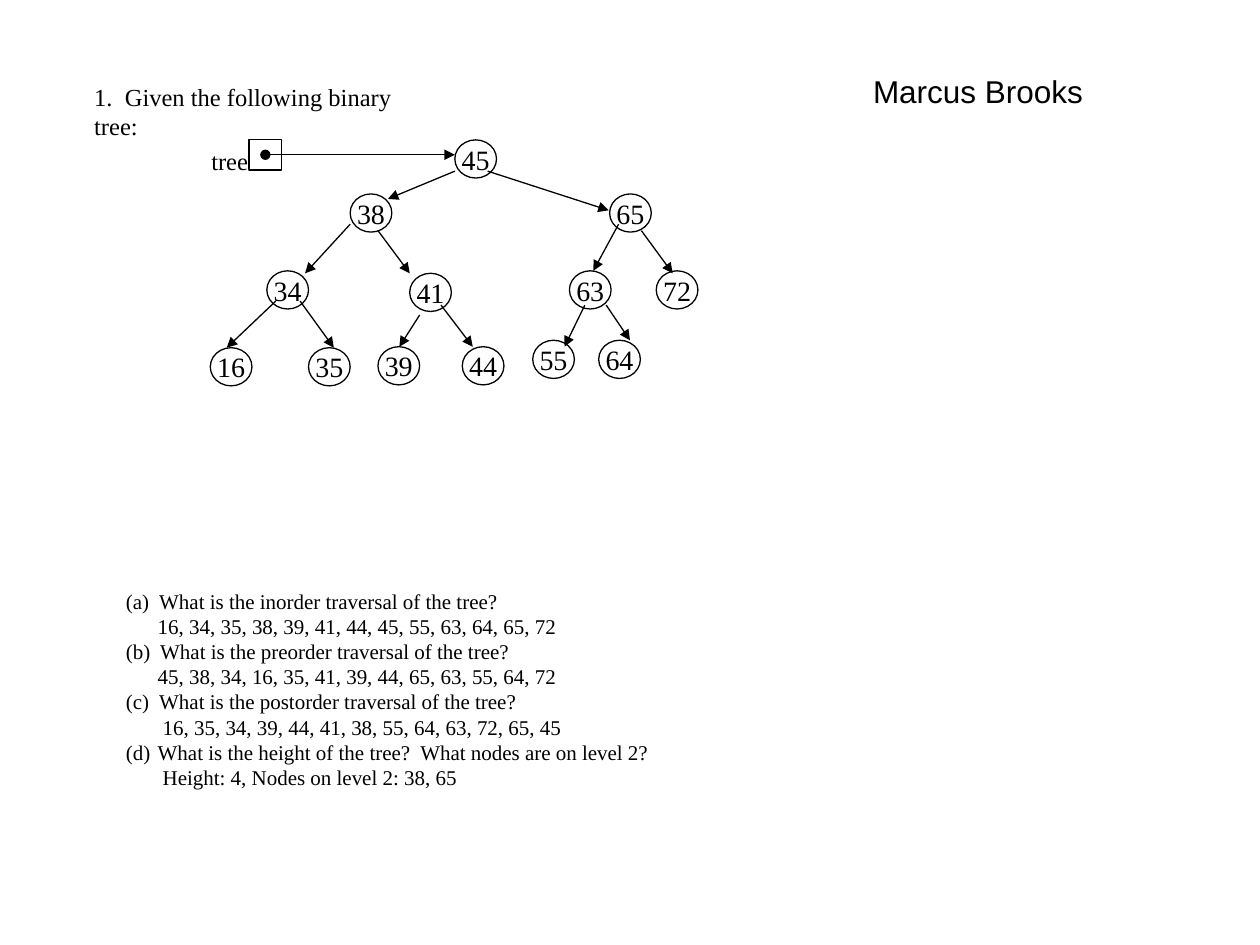
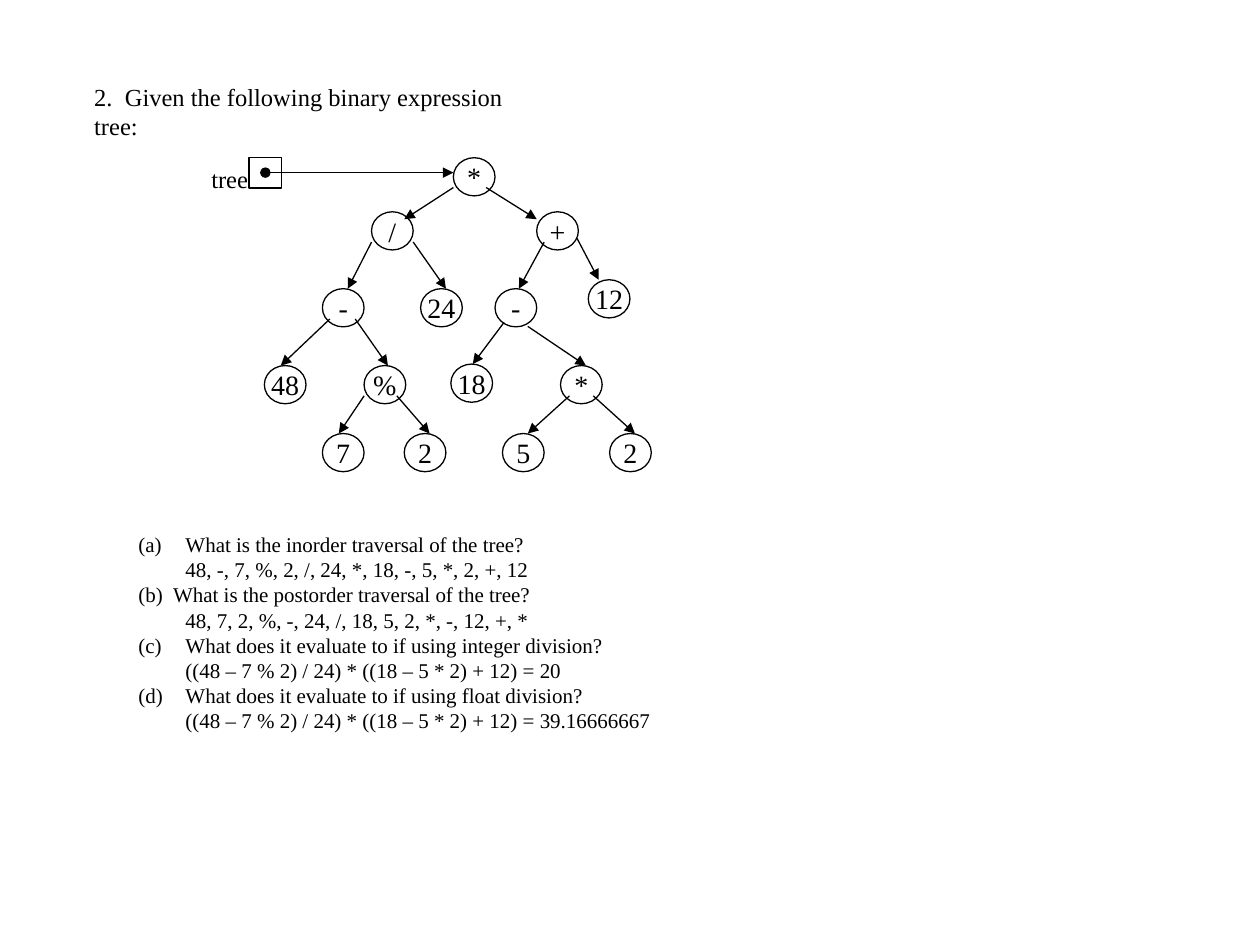
import pptx
import pptx.dml.color
import pptx.enum.shapes
import pptx.enum.text
import pptx.oxml.ns
import pptx.util
from dataclasses import dataclass
from lxml import etree

Cm = pptx.util.Cm
Pt = pptx.util.Pt
qn = pptx.oxml.ns.qn
SHAPES = pptx.enum.shapes.MSO_SHAPE


@dataclass(frozen=True)
class Theme:
    """Colours, fonts, type sizes and line width shared by both slides."""
    ink: object = pptx.dml.color.RGBColor(0, 0, 0)
    serif: str = "Times New Roman"
    sans: str = "Arial"
    title: int = 14
    answer: int = 12
    node: int = 16
    author: int = 18
    stroke: float = 0.75


theme = Theme()


def write(paragraph, text, size, font=theme.serif):
    """Add a run of text in the theme's ink to a paragraph."""
    run = paragraph.add_run()
    run.text = text
    for attribute, value in {"size": Pt(size), "name": font}.items():
        setattr(run.font, attribute, value)
    run.font.color.rgb = theme.ink


def outline(shapes, kind, left, top, width, height):
    """Add an unfilled shape with a thin outline."""
    shape = shapes.add_shape(kind, Cm(left), Cm(top), Cm(width), Cm(height))
    shape.shadow.inherit = False
    shape.fill.background()
    shape.line.color.rgb = theme.ink
    shape.line.width = Pt(theme.stroke)
    return shape


# Tree nodes: label, left, top, arrow start, arrow end (cm); the root comes first.
# Questions: text, indent, answer, answer indent (cm).
exercises = [
    {
        "title": "1.  Given the following binary tree:",
        "title_width": 7.49,
        "author": "Marcus Brooks",
        "nodes": [
            ("45", 9.17, 2.82, (5.35, 3.12), (9.17, 3.12)),
            ("38", 7.06, 3.91, (9.17, 3.45), (7.82, 4.01)),
            ("65", 12.29, 3.91, (9.83, 3.45), (12.27, 4.24)),
            ("34", 5.38, 5.46, (7.06, 4.52), (6.15, 5.51)),
            ("41", 8.26, 5.51, (7.62, 4.65), (8.26, 5.51)),
            ("63", 11.48, 5.46, (12.47, 4.52), (11.96, 5.46)),
            ("72", 13.23, 5.46, (12.93, 4.65), (13.56, 5.51)),
            ("16", 4.24, 7.01, (5.56, 6.07), (4.57, 7.01)),
            ("35", 6.22, 7.01, (6.05, 6.07), (6.73, 7.01)),
            ("39", 7.62, 6.99, (8.46, 6.35), (8.05, 6.99)),
            ("44", 9.32, 6.99, (8.89, 6.15), (9.53, 6.99)),
            ("55", 10.74, 6.86, (11.79, 6.15), (11.38, 6.99)),
            ("64", 12.07, 6.86, (12.22, 6.15), (12.7, 6.86)),
        ],
        "questions_at": (2.29, 11.73, 11.3, 4.37),
        "questions": [
            ("What is the inorder traversal of the tree?", 0.67,
             "16, 34, 35, 38, 39, 41, 44, 45, 55, 63, 64, 65, 72", 0.64),
            ("What is the preorder traversal of the tree?", 0.69,
             "45, 38, 34, 16, 35, 41, 39, 44, 65, 63, 55, 64, 72", 0.64),
            ("What is the postorder traversal of the tree?", 0.67,
             "16, 35, 34, 39, 44, 41, 38, 55, 64, 63, 72, 65, 45", 0.74),
            ("What is the height of the tree?  What nodes are on level 2?", 0.64,
             "Height: 4, Nodes on level 2: 38, 65", 0.74),
        ],
    },
    {
        "title": "2.  Given the following binary expression tree:",
        "title_width": 9.73,
        "author": None,
        "nodes": [
            ("*", 9.14, 3.18, (5.35, 3.48), (9.14, 3.48)),
            ("/", 7.49, 4.27, (9.14, 3.78), (8.15, 4.42)),
            ("+", 10.82, 4.27, (9.8, 3.78), (10.82, 4.42)),
            ("-", 6.5, 5.82, (7.49, 4.88), (7.01, 5.82)),
            ("24", 8.48, 5.82, (8.33, 4.88), (8.99, 5.82)),
            ("-", 9.98, 5.82, (10.97, 4.88), (10.46, 5.82)),
            ("12", 11.86, 5.64, (11.63, 4.8), (12.07, 5.64)),
            ("48", 5.33, 7.37, (6.65, 6.43), (5.66, 7.37)),
            ("%", 7.34, 7.37, (7.16, 6.43), (7.82, 7.37)),
            ("18", 9.09, 7.34, (10.16, 6.5), (9.53, 7.34)),
            ("*", 11.3, 7.37, (10.64, 6.58), (11.81, 7.37)),
            ("7", 6.5, 8.74, (7.34, 7.98), (6.83, 8.74)),
            ("2", 8.15, 8.74, (8, 7.98), (8.66, 8.74)),
            ("5", 10.13, 8.74, (11.48, 7.98), (10.64, 8.74)),
            ("2", 12.29, 8.74, (11.96, 7.98), (12.8, 8.74)),
        ],
        "questions_at": (2.54, 10.59, 10.95, 5.38),
        "questions": [
            ("What is the inorder traversal of the tree?", 0.95,
             "48, -, 7, %, 2, /, 24, *, 18, -, 5, *, 2, +, 12", 0.95),
            ("What is the postorder traversal of the tree?", 0.7,
             "48, 7, 2, %, -, 24, /, 18, 5, 2, *, -, 12, +, *", 0.95),
            ("What does it evaluate to if using integer division?", 0.95,
             "((48 – 7 % 2) / 24) * ((18 – 5 * 2) + 12) = 20", 0.95),
            ("What does it evaluate to if using float division?", 0.95,
             "((48 – 7 % 2) / 24) * ((18 – 5 * 2) + 12) = 39.16666667", 0.95),
        ],
    },
]

deck = pptx.Presentation()
deck.slide_width, deck.slide_height = Cm(25.4), Cm(19.05)

for exercise in exercises:
    shapes = deck.slides.add_slide(deck.slide_layouts[6]).shapes

    # Title, pointer label and, where given, the author
    root_top = exercise["nodes"][0][2]
    labels = [
        (exercise["title"], 1.65, 1.52, exercise["title_width"], 0.84,
         theme.title, theme.serif),
        ("tree", 4.01, root_top, 1.4, 0.84, theme.title, theme.serif),
    ]
    if exercise["author"]:
        labels.append((exercise["author"], 17.35, 1.32, 5.72, 1.02,
                       theme.author, theme.sans))
    for text, left, top, width, height, size, font in labels:
        label = shapes.add_textbox(Cm(left), Cm(top), Cm(width), Cm(height)).text_frame
        label.word_wrap = True
        write(label.paragraphs[0], text, size, font)

    # Lettered questions, each followed by its answer
    questions = shapes.add_textbox(*map(Cm, exercise["questions_at"])).text_frame
    questions.word_wrap = True
    for number, (question, indent, answer, answer_indent) in enumerate(
            exercise["questions"], start=1):
        asked = questions.paragraphs[0] if number == 1 else questions.add_paragraph()
        write(asked, question, theme.answer)
        hanging = asked._p.get_or_add_pPr()
        hanging.set("marL", str(Cm(indent)))
        hanging.set("indent", str(-Cm(indent)))
        etree.SubElement(hanging, qn("a:buFont"), typeface=theme.serif)
        etree.SubElement(hanging, qn("a:buAutoNum"),
                         type="alphaLcParenBoth", startAt=str(number))
        answered = questions.add_paragraph()
        write(answered, answer, theme.answer)
        answered._p.get_or_add_pPr().set("marL", str(Cm(answer_indent)))

    # Tree: pointer box, then every node with the arrow that leads to it
    outline(shapes, SHAPES.RECTANGLE, 5.02, root_top, 0.66, 0.61)
    for position, (value, left, top, start, end) in enumerate(exercise["nodes"]):
        node = outline(shapes, SHAPES.OVAL, left, top, 0.84, 0.77).text_frame
        for attribute, setting in {
            "word_wrap": False,
            "vertical_anchor": pptx.enum.text.MSO_ANCHOR.MIDDLE,
            "margin_left": 0, "margin_right": 0,
            "margin_top": 0, "margin_bottom": 0,
        }.items():
            setattr(node, attribute, setting)
        node.paragraphs[0].alignment = pptx.enum.text.PP_ALIGN.CENTER
        write(node.paragraphs[0], value, theme.node)

        arrow = shapes.add_connector(pptx.enum.shapes.MSO_CONNECTOR.STRAIGHT,
                                     *map(Cm, start + end))
        arrow.line.color.rgb = theme.ink
        arrow.line.width = Pt(theme.stroke)
        stroke = arrow.line._get_or_add_ln()
        if position == 0:
            etree.SubElement(stroke, qn("a:headEnd"), type="oval")
        etree.SubElement(stroke, qn("a:tailEnd"), type="triangle")
        etree.SubElement(arrow._element.spPr, qn("a:effectLst"))

deck.save("out.pptx")
